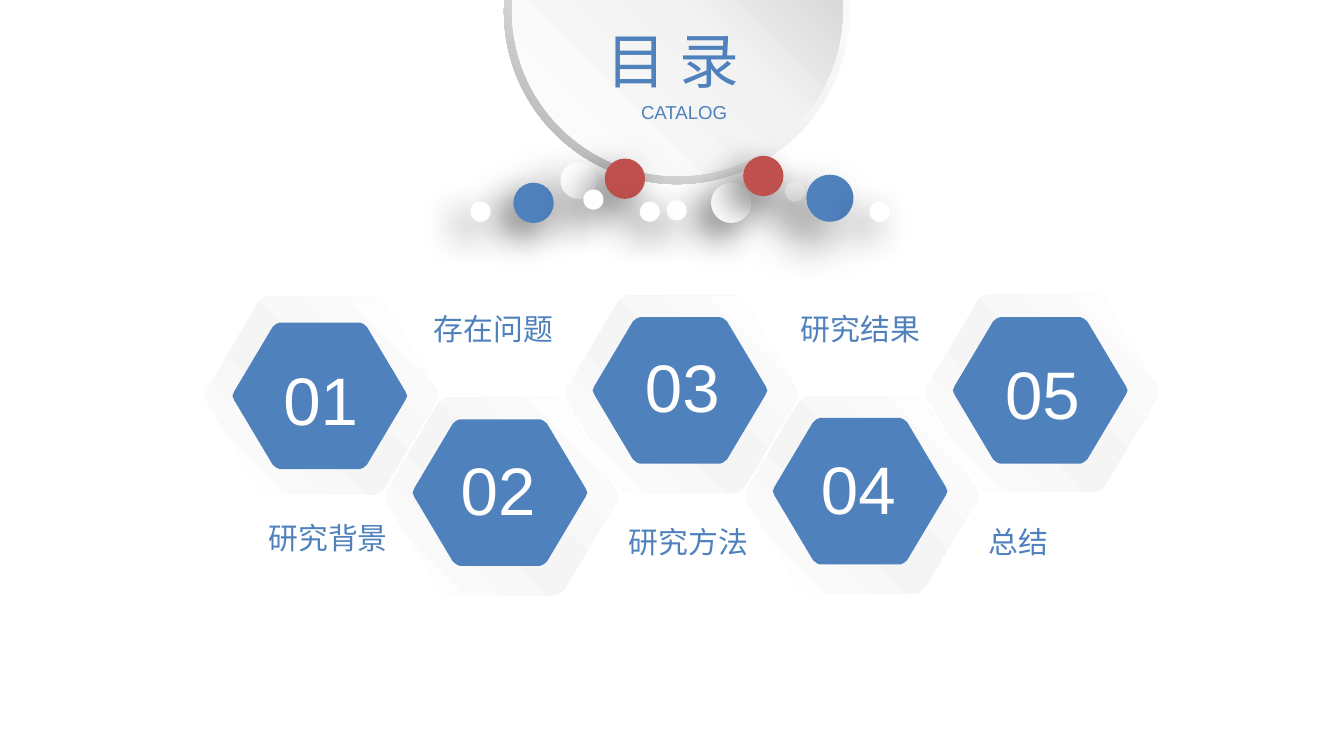
"""Build a contents slide with a badge, scattered beads and five numbered hexagons."""
from lxml import etree
from pptx import Presentation
from pptx.dml.color import RGBColor
from pptx.enum.shapes import MSO_SHAPE as SHAPE
from pptx.enum.text import MSO_ANCHOR as ANCHOR, MSO_AUTO_SIZE as AUTO, PP_ALIGN as ALIGN
from pptx.oxml import parse_xml
from pptx.oxml.ns import nsdecls, qn
from pptx.util import Inches, Pt

COLORS = {"white": "FFFFFF", "blue": "4F81BD", "red": "C0504D", "pale": "F5F5F5",
          "light": "F2F2F2", "mid": "BFBFBF", "gray": "A6A6A6", "black": "000000"}
LATIN, CJK = "Arial", "Noto Sans CJK SC"
RIM = ((0, "white"), (55, "light"), (100, "gray"))
DISC = ((0, "white"), (51, "light"), (100, "mid"))
SHEEN = ((0, "white"), (47, "pale"), (100, "white"))

SOFT, DEEP = (60, 20, 10), (50, 25, 15)
BEADS = [
    (5.29, 1.36, 0.3, "white", SOFT), (4.96, 1.49, 0.15, "white", SOFT),
    (5.84, 1.35, 0.15, "white", SOFT), (4.17, 1.21, 0.27, "white", DEEP),
    (4.5, 1.18, 0.3, "red", SOFT), (4.76, 1.5, 0.15, "white", SOFT),
    (6, 1.3, 0.35, "blue", DEEP), (3.82, 1.36, 0.3, "blue", SOFT),
    (3.5, 1.5, 0.15, "white", SOFT), (5.53, 1.16, 0.3, "red", SOFT),
    (4.34, 1.41, 0.15, "white", SOFT), (6.47, 1.5, 0.15, "white", SOFT),
]
HEXAGONS = [
    (2.2, 0.2, "01", (2.01, 2.62, 0.88, 0.71)),
    (2.95, 0.17, "02", (3.33, 3.29, 0.86, 0.71)),
    (2.19, 0.17, "03", (4.7, 2.52, 0.85, 0.71)),
    (2.94, 0.17, "04", (6.01, 3.28, 0.97, 0.71)),
    (2.18, 0.18, "05", (7.38, 2.57, 0.92, 0.71)),
]
LABELS = [("研究背景", 1.9, 3.82, 1.12), ("存在问题", 3.13, 2.26, 1.33),
          ("研究方法", 4.58, 3.85, 1.12), ("研究结果", 5.86, 2.26, 1.12),
          ("总结", 7.26, 3.85, 1.12)]


def rgb(name):
    """Return a named colour."""
    return RGBColor.from_string(COLORS[name])


def paint(sp, color):
    """Give a shape a flat fill without line or shadow."""
    sp.shadow.inherit = False
    sp.fill.solid()
    sp.fill.fore_color.rgb = rgb(color)
    sp.line.fill.background()


def shade(sp, stops, angle):
    """Replace the flat fill of a shape by a linear gradient."""
    marks = "".join(f'<a:gs pos="{pos * 1000}"><a:srgbClr val="{COLORS[c]}"/></a:gs>'
                    for pos, c in stops)
    grad = parse_xml(f'<a:gradFill {nsdecls("a")} rotWithShape="1"><a:gsLst>{marks}</a:gsLst>'
                     f'<a:lin ang="{angle * 60000}" scaled="0"/></a:gradFill>')
    pr = sp._element.spPr
    pr.replace(pr.find(qn("a:solidFill")), grad)


def cast_shadow(sp, alpha, blur, dist):
    """Add a soft outer shadow towards the lower left."""
    effects = sp._element.spPr.find(qn("a:effectLst"))
    effects.append(parse_xml(
        f'<a:outerShdw {nsdecls("a")} blurRad="{Pt(blur)}" dist="{Pt(dist)}" dir="8100000" '
        f'algn="tr" rotWithShape="0"><a:srgbClr val="{COLORS["black"]}">'
        f'<a:alpha val="{alpha * 1000}"/></a:srgbClr></a:outerShdw>'))


def add_round(shapes, kind, x, y, size, color="white"):
    """Add a circular preset shape."""
    sp = shapes.add_shape(kind, *map(Inches, (x, y, size, size)))
    paint(sp, color)
    return sp


def add_hexagon(shapes, x, y, w, h, color):
    """Add a hexagon with softened corners."""
    quarter = [(1, 0.5), (0.99, 0.53), (0.77, 0.97), (0.75, 0.99), (0.73, 1)]
    half = quarter + [(1 - u, v) for u, v in quarter[::-1]]
    outline = half + [(1 - u, 1 - v) for u, v in half[1:-1]]
    points = [(Inches(x + w * u), Inches(y + h * v)) for u, v in outline]
    builder = shapes.build_freeform(*points[0])
    builder.add_line_segments(points[1:])
    sp = builder.convert_to_shape()
    paint(sp, color)
    return sp


def write(sp, text, size, color, font=LATIN, align=ALIGN.LEFT, **frame):
    """Write one formatted line into a shape."""
    tf = sp.text_frame
    settings = {"word_wrap": True, "auto_size": AUTO.SHAPE_TO_FIT_TEXT,
                "vertical_anchor": ANCHOR.TOP, **frame}
    for key, value in settings.items():
        setattr(tf, key, value)
    p = tf.paragraphs[0]
    p.alignment = align
    r = p.add_run()
    r.text = text
    for key, value in {"name": font, "size": Pt(size), "bold": False}.items():
        setattr(r.font, key, value)
    r.font.color.rgb = rgb(color)
    etree.SubElement(r._r.get_or_add_rPr(), qn("a:ea"), typeface=CJK)


def add_text(shapes, box, text, size, color, **options):
    """Add a text box with one line."""
    write(shapes.add_textbox(*map(Inches, box)), text, size, color, **options)


def add_badge(s):
    """Add the large disc with its rim."""
    g = s.shapes.add_group_shape()
    rim = add_round(g.shapes, SHAPE.DONUT, 3.75, -1.2, 2.57)
    rim.adjustments[0] = 0.05
    shade(rim, RIM, 135)
    shade(add_round(g.shapes, SHAPE.OVAL, 3.81, -1.15, 2.46), DISC, 315)


def add_heading(s):
    """Fill the title and add the subtitle."""
    sp = s.shapes.title
    for key, value in zip(("left", "top", "width", "height"), (4.41, 0.13, 1.35, 0.64)):
        setattr(sp, key, Inches(value))
    write(sp, "目 录", 32, "blue", font=CJK)
    s.shapes._spTree.append(sp._element)
    add_text(s.shapes, (4.34, 0.62, 1.5, 0.42), "CATALOG", 10, "blue", align=ALIGN.CENTER,
             auto_size=AUTO.NONE, vertical_anchor=ANCHOR.MIDDLE,
             margin_left=Inches(0.07), margin_right=Inches(0.07),
             margin_top=Inches(0.04), margin_bottom=Inches(0.04))


def add_number(s, x, y, core_dy, number, box):
    """Add one numbered hexagon of three layers."""
    g = s.shapes.add_group_shape()
    add_hexagon(g.shapes, x, y, 1.75, 1.49, "white")
    shade(add_hexagon(g.shapes, x + 0.01, y + 0.01, 1.74, 1.47, "white"), SHEEN, 315)
    add_hexagon(g.shapes, x + 0.22, y + core_dy, 1.3, 1.09, "blue")
    add_text(g.shapes, box, number, 36, "white")


def main():
    """Build and save the slide."""
    prs = Presentation()
    prs.slide_width, prs.slide_height = Inches(10), Inches(10) * 9 // 16
    s = prs.slides.add_slide(prs.slide_layouts[5])
    add_badge(s)
    for x, y, size, color, shadow in BEADS:
        cast_shadow(add_round(s.shapes, SHAPE.OVAL, x, y, size, color), *shadow)
    add_heading(s)
    for i in (4, 2, 0, 1, 3):
        add_number(s, 1.51 + 1.34 * i, *HEXAGONS[i])
    for text, x, y, w in LABELS:
        add_text(s.shapes, (x, y, w, 0.37), text, 16, "blue")
    prs.save("out.pptx")


if __name__ == "__main__":
    main()
